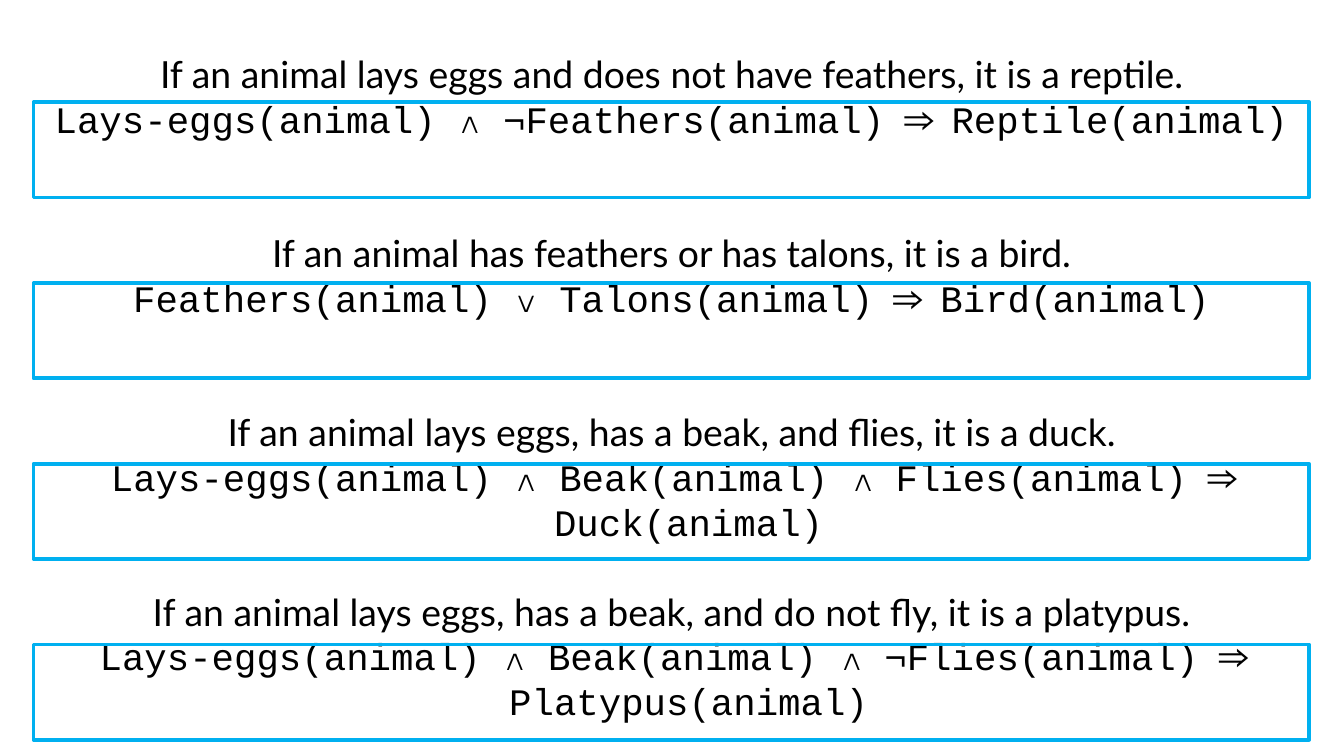
"""Build a slide pairing animal classification sentences with their logic rules."""
from pptx import Presentation
from pptx.dml.color import RGBColor
from pptx.enum.shapes import MSO_SHAPE
from pptx.enum.text import MSO_ANCHOR, PP_ALIGN
from pptx.util import Inches, Pt

RECTANGLE = MSO_SHAPE.RECTANGLE
TOP = MSO_ANCHOR.TOP
CENTER = PP_ALIGN.CENTER
BLACK = RGBColor(0x00, 0x00, 0x00)
BLUE = RGBColor(0x00, 0xB0, 0xF0)

RULES = [
    ("If an animal lays eggs and does not have feathers, it is a reptile.",
     "Lays-eggs(animal) ∧ ¬Feathers(animal) ⇒ Reptile(animal)", 0),
    ("If an animal has feathers or has talons, it is a bird.",
     "Feathers(animal) ∨ Talons(animal) ⇒ Bird(animal)", 48),
    ("If an animal lays eggs, has a beak, and flies, it is a duck.",
     "Lays-eggs(animal) ∧ Beak(animal) ∧ Flies(animal) ⇒ Duck(animal)", 48),
    ("If an animal lays eggs, has a beak, and do not fly, it is a platypus.",
     "Lays-eggs(animal) ∧ Beak(animal) ∧ ¬Flies(animal) ⇒ Platypus(animal)", 24),
]
FRAME_FORMAT = {
    "word_wrap": True,
    "vertical_anchor": TOP,
    "margin_left": 0,
    "margin_right": 0,
    "margin_top": Inches(0.38),
    "margin_bottom": Inches(0.05),
}
HANGING_INDENT = Inches(0.25)
BOX_TOP, BOX_PITCH = 0.76, 1.345

presentation = Presentation()
presentation.slide_width = Inches(10)
presentation.slide_height = Inches(10) * 9 // 16
slide = presentation.slides.add_slide(presentation.slide_layouts[6])

text_box = slide.shapes.add_textbox(
    0, 0, presentation.slide_width, presentation.slide_height)
text_frame = text_box.text_frame
for name, value in FRAME_FORMAT.items():
    setattr(text_frame, name, value)

for index, (sentence, formula, gap) in enumerate(RULES):
    for text, font_name, space in ((sentence, "Lato", gap), (formula, "Courier New", 0)):
        is_first = index == 0 and text == sentence
        paragraph = text_frame.paragraphs[0] if is_first else text_frame.add_paragraph()
        paragraph.alignment = CENTER
        paragraph.space_before = Pt(space)
        properties = paragraph._p.get_or_add_pPr()
        properties.set("marL", str(HANGING_INDENT))
        properties.set("indent", str(-HANGING_INDENT))
        run = paragraph.add_run()
        run.text = text
        for name, value in {"name": font_name, "size": Pt(20)}.items():
            setattr(run.font, name, value)
        run.font.color.rgb = BLACK

for index in range(len(RULES)):
    shape = slide.shapes.add_shape(
        RECTANGLE, Inches(0.25), Inches(BOX_TOP + index * BOX_PITCH),
        Inches(9.49), Inches(0.71))
    shape.shadow.inherit = False
    shape.fill.background()
    shape.line.color.rgb = BLUE
    shape.line.width = Pt(2)

presentation.save("out.pptx")
